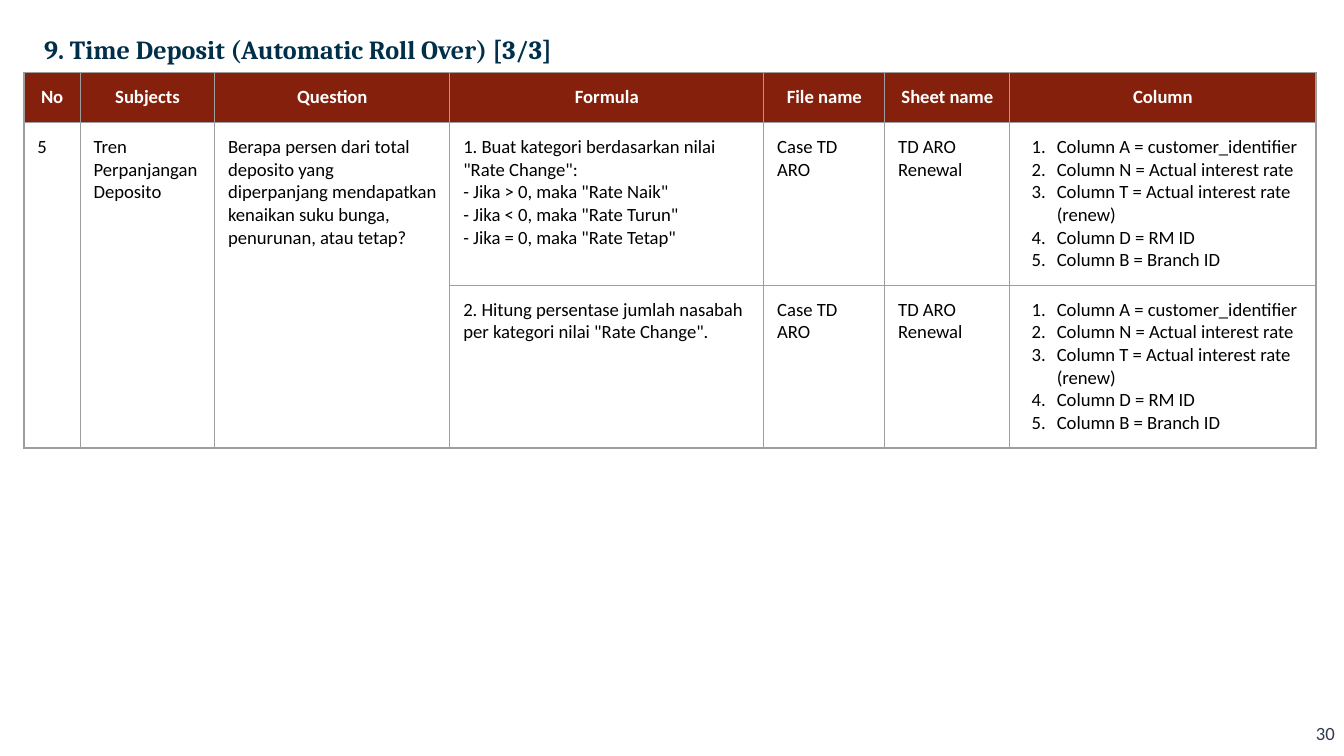
import pptx
import pptx.dml.color
import pptx.enum.text
import pptx.oxml.ns
import pptx.util
from lxml import etree

Pt = pptx.util.Pt
RGBColor = pptx.dml.color.RGBColor
Align = pptx.enum.text.PP_ALIGN
Anchor = pptx.enum.text.MSO_ANCHOR
qn = pptx.oxml.ns.qn

NAVY = RGBColor(0x00, 0x2F, 0x4A)
BRICK = RGBColor(0x85, 0x20, 0x0C)
WHITE = RGBColor(0xFF, 0xFF, 0xFF)
BLACK = RGBColor(0x00, 0x00, 0x00)
GREY = RGBColor(0x9E, 0x9E, 0x9E)
SLATE = RGBColor(0x31, 0x39, 0x4D)

COLUMN_WIDTHS = [30.2, 72, 126, 168.2, 64.8, 67, 164]
ROW_HEIGHTS = [23, 74, 85]
HEADINGS = ["No", "Subjects", "Question", "Formula", "File name", "Sheet name", "Column"]
QUESTION = [
    "5",
    "Tren Perpanjangan Deposito",
    "Berapa persen dari total deposito yang diperpanjang mendapatkan "
    "kenaikan suku bunga, penurunan, atau tetap?",
]
FORMULAS = [
    [
        '1. Buat kategori berdasarkan nilai "Rate Change":',
        '- Jika > 0, maka "Rate Naik"',
        '- Jika < 0, maka "Rate Turun"',
        '- Jika = 0, maka "Rate Tetap"',
    ],
    ['2. Hitung persentase jumlah nasabah per kategori nilai "Rate Change".'],
]
FILE_NAME = "Case TD ARO"
SHEET_NAME = "TD ARO Renewal"
SOURCE_COLUMNS = [
    "Column A = customer_identifier",
    "Column N = Actual interest rate",
    "Column T = Actual interest rate (renew)",
    "Column D = RM ID",
    "Column B = Branch ID",
]


def add_span(para, text, font_name, size, color, bold=False):
    """Add one formatted run to a paragraph."""
    span = para.add_run()
    span.text = text
    span.font.name = font_name
    span.font.size = Pt(size)
    span.font.color.rgb = color
    span.font.bold = bold


def set_margins(frame, horizontal, vertical):
    """Set equal side margins and equal top and bottom margins."""
    frame.margin_left = frame.margin_right = Pt(horizontal)
    frame.margin_top = frame.margin_bottom = Pt(vertical)


def place(shape, left, top, width, height):
    """Move and size a shape in points."""
    shape.left, shape.top = Pt(left), Pt(top)
    shape.width, shape.height = Pt(width), Pt(height)


def number_paragraph(para):
    """Turn a paragraph into an automatically numbered list item."""
    properties = para._p.get_or_add_pPr()
    properties.set("marL", str(Pt(18)))
    properties.set("indent", str(-Pt(13.5)))
    color = etree.SubElement(properties, qn("a:buClr"))
    etree.SubElement(color, qn("a:srgbClr"), val=str(BLACK))
    etree.SubElement(properties, qn("a:buFont"), typeface="Calibri")
    etree.SubElement(properties, qn("a:buAutoNum"), type="arabicPeriod")


def style_cell(cell, fill_color):
    """Give a cell its borders, fill and margins."""
    properties = cell._tc.get_or_add_tcPr()
    for side in ("lnL", "lnR", "lnT", "lnB"):
        line = etree.SubElement(properties, qn(f"a:{side}"), w=str(Pt(0.75)))
        fill = etree.SubElement(line, qn("a:solidFill"))
        etree.SubElement(fill, qn("a:srgbClr"), val=str(GREY))
    cell.fill.solid()
    cell.fill.fore_color.rgb = fill_color
    set_margins(cell, 7.2, 7.2)


def fill_cell(cell, lines, color=BLACK, bold=False, align=Align.LEFT, numbered=False):
    """Write lines of text into a cell, one paragraph each."""
    frame = cell.text_frame
    for index, text in enumerate(lines):
        para = frame.paragraphs[0] if index == 0 else frame.add_paragraph()
        para.alignment = align
        if numbered:
            number_paragraph(para)
        add_span(para, text, "Calibri", 10, color, bold)


def add_title(page, left, top, width, height):
    """Format the title placeholder within its box."""
    title = page.shapes.title
    place(title, left, top, width, height)
    frame = title.text_frame
    frame.auto_size = pptx.enum.text.MSO_AUTO_SIZE.NONE
    frame.word_wrap = True
    frame.vertical_anchor = Anchor.MIDDLE
    set_margins(frame, 5, 2.9)
    para = frame.paragraphs[0]
    para.alignment = Align.LEFT
    para.line_spacing = 0.9
    add_span(para, "9. Time Deposit (Automatic Roll Over) [3/3]", "Cambria", 14, NAVY, True)


def add_formula_table(page, left, top):
    """Build the table of questions, formulas and data sources."""
    frame = page.shapes.add_table(
        len(ROW_HEIGHTS), len(COLUMN_WIDTHS), Pt(left), Pt(top),
        Pt(sum(COLUMN_WIDTHS)), Pt(sum(ROW_HEIGHTS)),
    )
    table = frame.table
    table.horz_banding = False
    for column, width in zip(table.columns, COLUMN_WIDTHS):
        column.width = Pt(width)
    for index, height in enumerate(ROW_HEIGHTS):
        table.rows[index].height = Pt(height)
        for cell in table.rows[index].cells:
            style_cell(cell, WHITE if index else BRICK)
    for index, heading in enumerate(HEADINGS):
        fill_cell(table.cell(0, index), [heading], WHITE, True, Align.CENTER)
    for index, text in enumerate(QUESTION):
        table.cell(1, index).merge(table.cell(2, index))
        fill_cell(table.cell(1, index), [text])
    for row, formula in enumerate(FORMULAS, start=1):
        for column, lines in enumerate([formula, [FILE_NAME], [SHEET_NAME]], start=3):
            fill_cell(table.cell(row, column), lines)
        fill_cell(table.cell(row, 6), SOURCE_COLUMNS, numbered=True)


def add_page_number(page, left, top, width, height):
    """Add the page number at the right of its box."""
    box = page.shapes.add_textbox(Pt(left), Pt(top), Pt(width), Pt(height))
    frame = box.text_frame
    frame.word_wrap = True
    set_margins(frame, 5, 2.9)
    para = frame.paragraphs[0]
    para.alignment = Align.RIGHT
    add_span(para, "30", "Calibri", 10, SLATE)


def main():
    """Build and save the deck."""
    deck = pptx.Presentation()
    deck.slide_width, deck.slide_height = Pt(720), Pt(405)
    page = deck.slides.add_slide(deck.slide_layouts[5])
    add_title(page, 18.7, 10.8, 679.7, 33.1)
    add_formula_table(page, 12.8, 39)
    add_page_number(page, 524.2, 383.8, 195.8, 21.6)
    deck.save("out.pptx")


if __name__ == "__main__":
    main()
